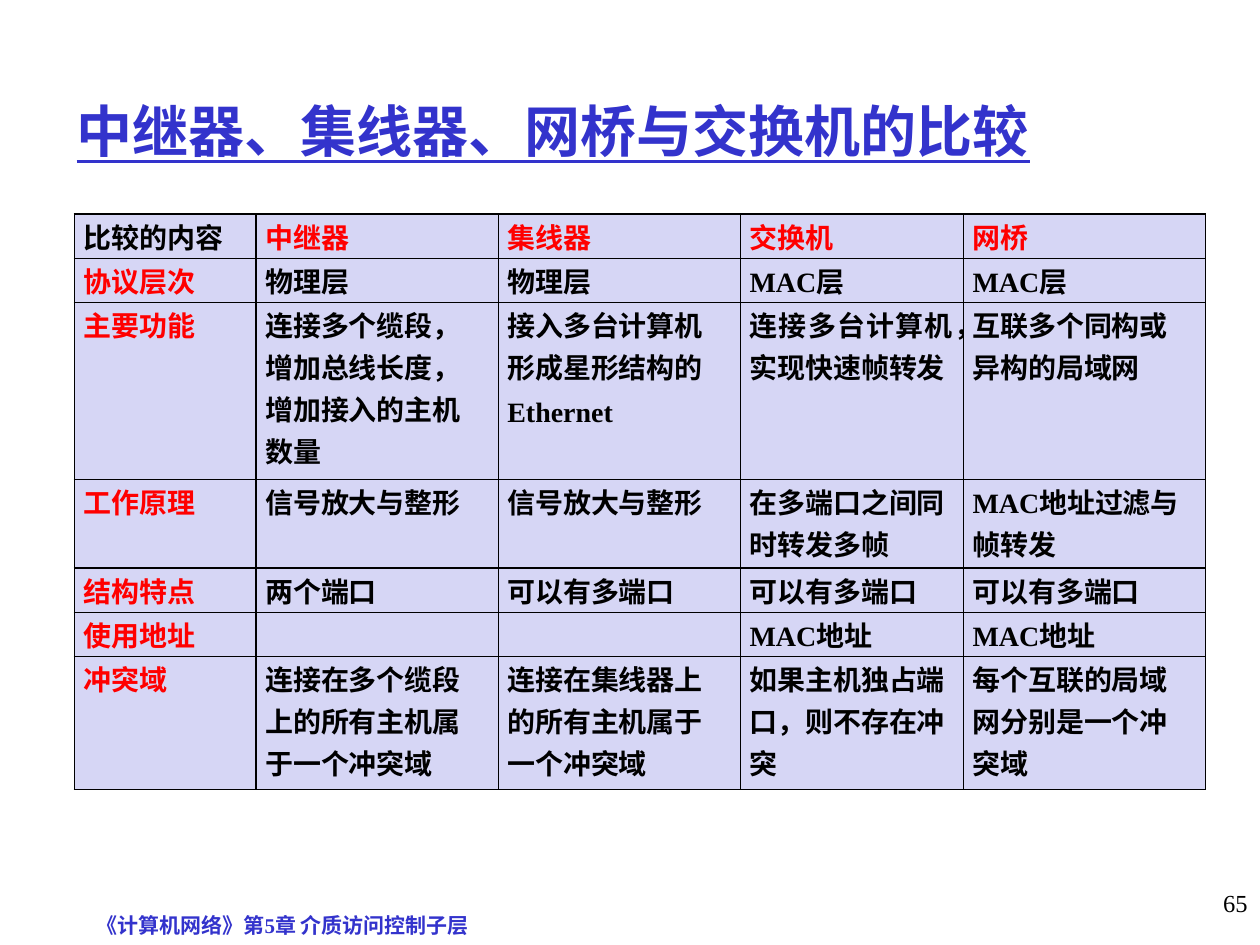
from lxml.etree import SubElement
from pptx import Presentation
from pptx.dml.color import RGBColor
from pptx.enum.text import MSO_ANCHOR, PP_ALIGN
from pptx.oxml.ns import qn
from pptx.util import Pt

BLUE = RGBColor(0x33, 0x33, 0xCC)
RED = RGBColor(0xFF, 0x00, 0x00)
BLACK = RGBColor(0x00, 0x00, 0x00)
LAVENDER = RGBColor(0xD6, 0xD6, 0xF5)
LATIN_FONT = "Times New Roman"
CHINESE_FONT = "Noto Sans CJK JP"

TITLE = "中继器、集线器、网桥与交换机的比较"
FOOTER = "《计算机网络》第5章 介质访问控制子层"
PAGE_NUMBER = "65"

COMPARISON = [
    ["比较的内容", "中继器", "集线器", "交换机", "网桥"],
    ["协议层次", "物理层", "物理层", "MAC层", "MAC层"],
    ["主要功能",
     "连接多个缆段，\n增加总线长度，\n增加接入的主机\n数量",
     "接入多台计算机\n形成星形结构的\nEthernet",
     "连接多台计算机，\n实现快速帧转发",
     "互联多个同构或\n异构的局域网"],
    ["工作原理", "信号放大与整形", "信号放大与整形",
     "在多端口之间同\n时转发多帧", "MAC地址过滤与\n帧转发"],
    ["结构特点", "两个端口", "可以有多端口", "可以有多端口", "可以有多端口"],
    ["使用地址", "", "", "MAC地址", "MAC地址"],
    ["冲突域",
     "连接在多个缆段\n上的所有主机属\n于一个冲突域",
     "连接在集线器上\n的所有主机属于\n一个冲突域",
     "如果主机独占端\n口，则不存在冲\n突",
     "每个互联的局域\n网分别是一个冲\n突域"],
]
COLUMN_WIDTHS = [103.9, 138.4, 138.4, 127.4, 138.4]
ROW_HEIGHTS = [25.2, 25.2, 101.3, 50.6, 25.2, 25.2, 76]


def style(paragraph, size, color, bold=True, underline=None, latin=LATIN_FONT):
    font = paragraph.font
    font.size = Pt(size)
    font.bold = bold
    font.underline = underline
    font.color.rgb = color
    font.name = latin
    defaults = paragraph._p.pPr.find(qn("a:defRPr"))
    SubElement(defaults, qn("a:ea"), typeface=CHINESE_FONT)


def add_text(slide, text, left, top, width, height):
    frame = slide.shapes.add_textbox(Pt(left), Pt(top), Pt(width), Pt(height)).text_frame
    frame.word_wrap = True
    frame.text = text
    return frame


def add_borders(cell):
    properties = cell._tc.get_or_add_tcPr()
    for position, side in enumerate(("lnL", "lnR", "lnT", "lnB")):
        line = properties.makeelement(qn(f"a:{side}"), {"w": str(Pt(1))})
        fill = SubElement(line, qn("a:solidFill"))
        SubElement(fill, qn("a:srgbClr"), val=str(BLACK))
        properties.insert(position, line)


def fill_cell(cell, text, color):
    cell.margin_left = cell.margin_right = Pt(5.2)
    cell.margin_top = cell.margin_bottom = 0
    cell.fill.solid()
    cell.fill.fore_color.rgb = LAVENDER
    add_borders(cell)
    cell.text = text
    for paragraph in cell.text_frame.paragraphs:
        paragraph.alignment = PP_ALIGN.JUSTIFY
        paragraph.line_spacing = Pt(24)
        style(paragraph, 16, color)


def add_comparison(slide):
    table = slide.shapes.add_table(
        len(ROW_HEIGHTS), len(COLUMN_WIDTHS), Pt(42.5), Pt(122.4),
        Pt(sum(COLUMN_WIDTHS)), Pt(sum(ROW_HEIGHTS))).table
    table.first_row = table.horz_banding = False
    for column, width in zip(table.columns, COLUMN_WIDTHS):
        column.width = Pt(width)
    for row, height in zip(table.rows, ROW_HEIGHTS):
        row.height = Pt(height)
    for r, texts in enumerate(COMPARISON):
        for c, text in enumerate(texts):
            is_heading = (r == 0) != (c == 0)
            fill_cell(table.cell(r, c), text, RED if is_heading else BLACK)


def main():
    presentation = Presentation()
    presentation.slide_width, presentation.slide_height = Pt(720), Pt(540)
    slide = presentation.slides.add_slide(presentation.slide_layouts[6])

    title = add_text(slide, TITLE, 36.7, 60.5, 629.3, 28)
    title.vertical_anchor = MSO_ANCHOR.MIDDLE
    style(title.paragraphs[0], 32, BLUE, underline=True, latin=CHINESE_FONT)

    add_comparison(slide)

    footer = add_text(slide, FOOTER, 48.2, 504, 419.8, 36)
    footer.margin_top = Pt(17.4)
    style(footer.paragraphs[0], 12, BLUE)

    page_number = add_text(slide, PAGE_NUMBER, 570.2, 504, 149.8, 36)
    page_number.paragraphs[0].alignment = PP_ALIGN.RIGHT
    style(page_number.paragraphs[0], 14, BLACK, bold=False)

    presentation.save("out.pptx")


if __name__ == "__main__":
    main()
